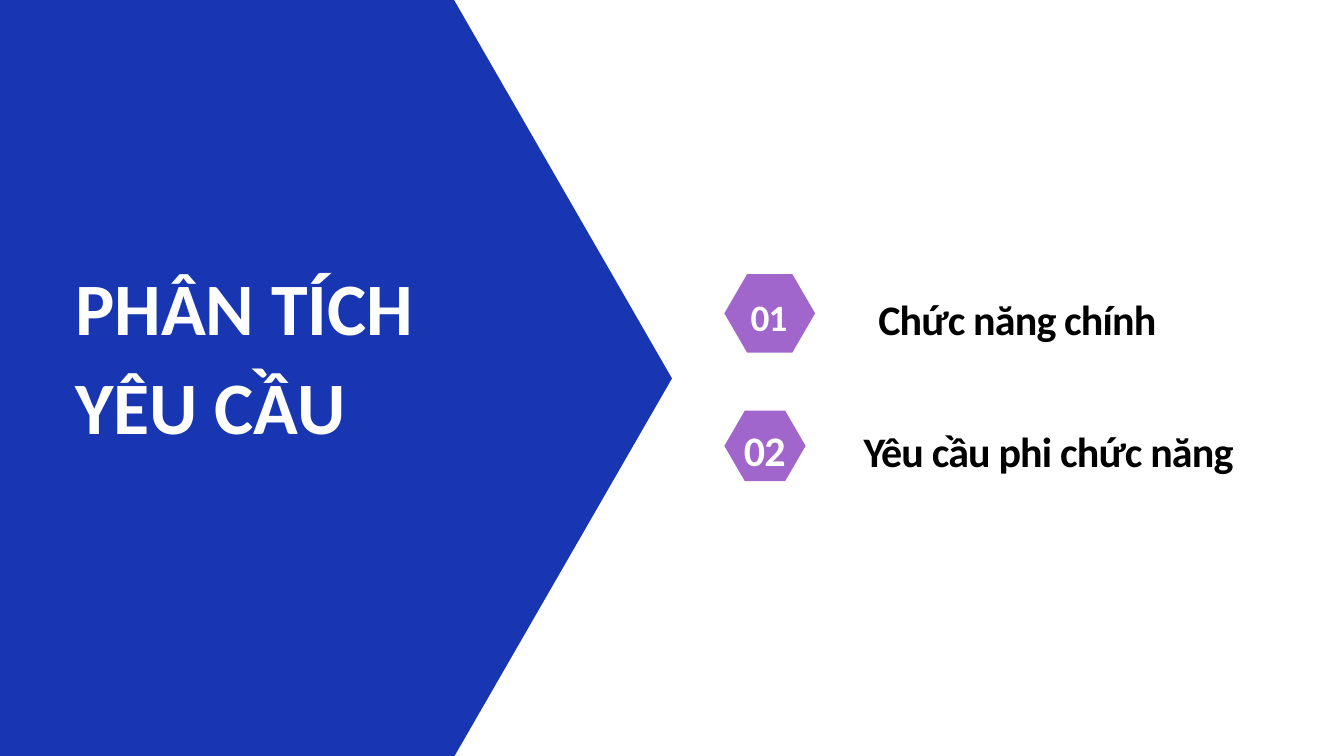
from pptx import Presentation
from pptx.dml.color import RGBColor
from pptx.enum.shapes import MSO_SHAPE as Shape
from pptx.enum.text import MSO_AUTO_SIZE as AutoSize, PP_ALIGN as Align
from pptx.util import Cm, Pt

BLUE = RGBColor(0x18, 0x36, 0xB2)
PURPLE = RGBColor(0xA0, 0x66, 0xCB)
WHITE = RGBColor(0xFF, 0xFF, 0xFF)
BLACK = RGBColor(0x00, 0x00, 0x00)

presentation = Presentation()
presentation.slide_width = Cm(50.8)
presentation.slide_height = Cm(28.575)
slide = presentation.slides.add_slide(presentation.slide_layouts[6])


def add_hexagon(left, top, width, height, color, inset):
    shape = slide.shapes.add_shape(
        Shape.HEXAGON, Cm(left), Cm(top), Cm(width), Cm(height))
    shape.adjustments[0] = inset
    shape.shadow.inherit = False
    shape.fill.solid()
    shape.fill.fore_color.rgb = color
    shape.line.fill.background()


def add_text(text, left, top, width, height, *, size, line, color,
             align=Align.LEFT, spacing=0):
    box = slide.shapes.add_textbox(Cm(left), Cm(top), Cm(width), Cm(height))
    frame = box.text_frame
    frame.word_wrap = True
    frame.auto_size = AutoSize.SHAPE_TO_FIT_TEXT
    frame.margin_left = frame.margin_right = 0
    frame.margin_top = frame.margin_bottom = 0
    paragraph = frame.paragraphs[0]
    paragraph.alignment = align
    paragraph.line_spacing = Pt(line)
    run = paragraph.add_run()
    run.text = text
    run.font.name = "Calibri"
    run.font.size = Pt(size)
    run.font.bold = True
    run.font.color.rgb = color
    if spacing:
        run._r.get_or_add_rPr().set("spc", str(round(spacing * 100)))


# Blue panel with the section title
add_hexagon(-12.73, -5.56, 38.13, 39.73, BLUE, 0.3)
add_text("PHÂN TÍCH YÊU CẦU", 2.84, 9.53, 16.15, 7.34,
         size=79.2, line=105.4, color=WHITE)

# Numbered topics: label box, hexagon, number box, number size and line height
topics = [
    ("01", "Chức năng chính", (33.2, 10.95, 27.58, 2),
     (27.38, 10.36, 3.43, 2.97), (28.12, 10.85, 1.9, 1.83), 39.9, 55.9),
    ("02", "Yêu cầu phi chức năng", (32.64, 15.93, 22.17, 2),
     (27.38, 15.52, 3.07, 2.67), (28.04, 15.72, 1.73, 2.08), 45, 63),
]
for number, label, label_box, hexagon, number_box, size, line in topics:
    add_text(label, *label_box, size=45, line=58.5, color=BLACK, spacing=-0.9)
    add_hexagon(*hexagon, PURPLE, 0.29)
    add_text(number, *number_box, size=size, line=line, color=WHITE,
             align=Align.CENTER, spacing=-size / 50)

presentation.save("out.pptx")
